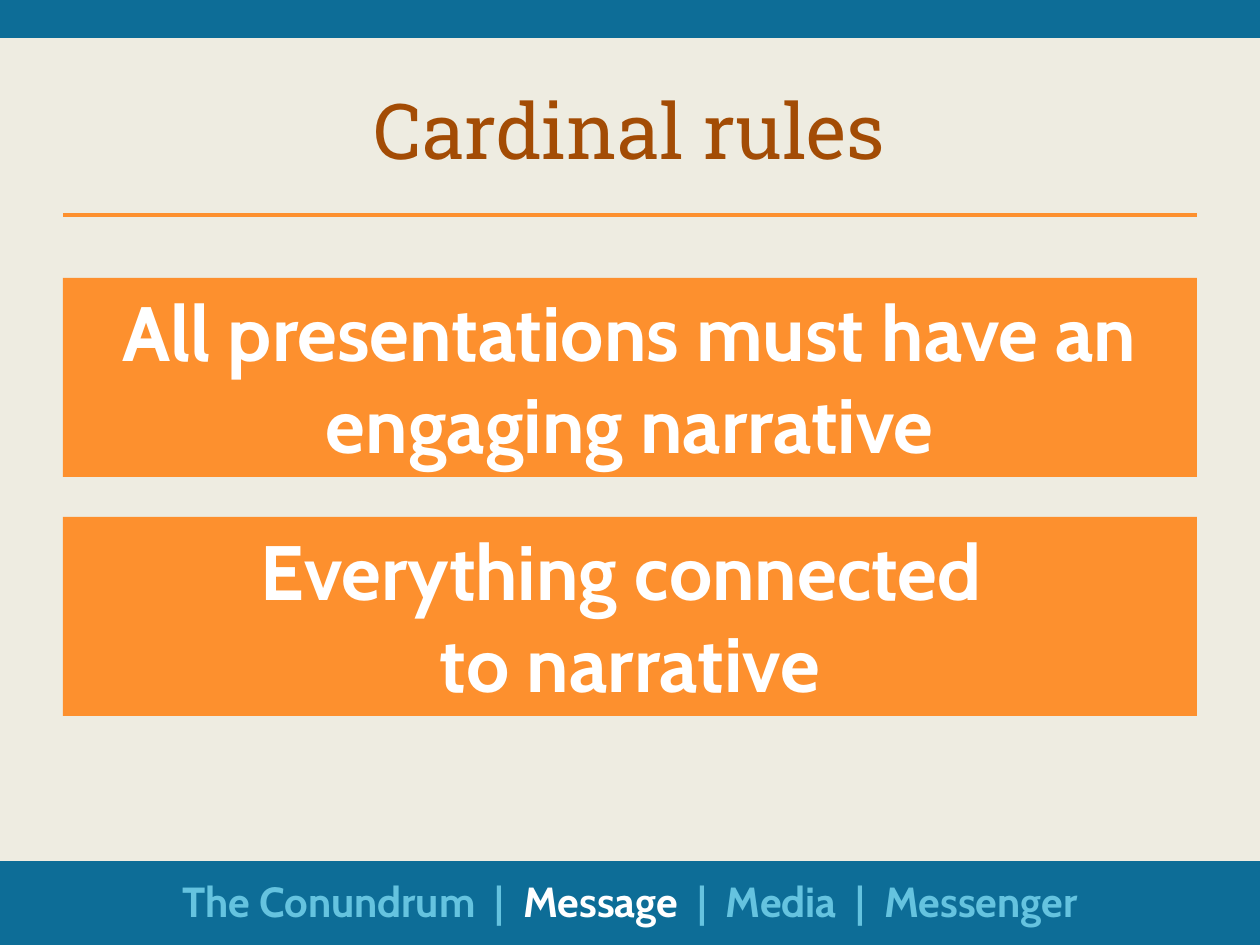
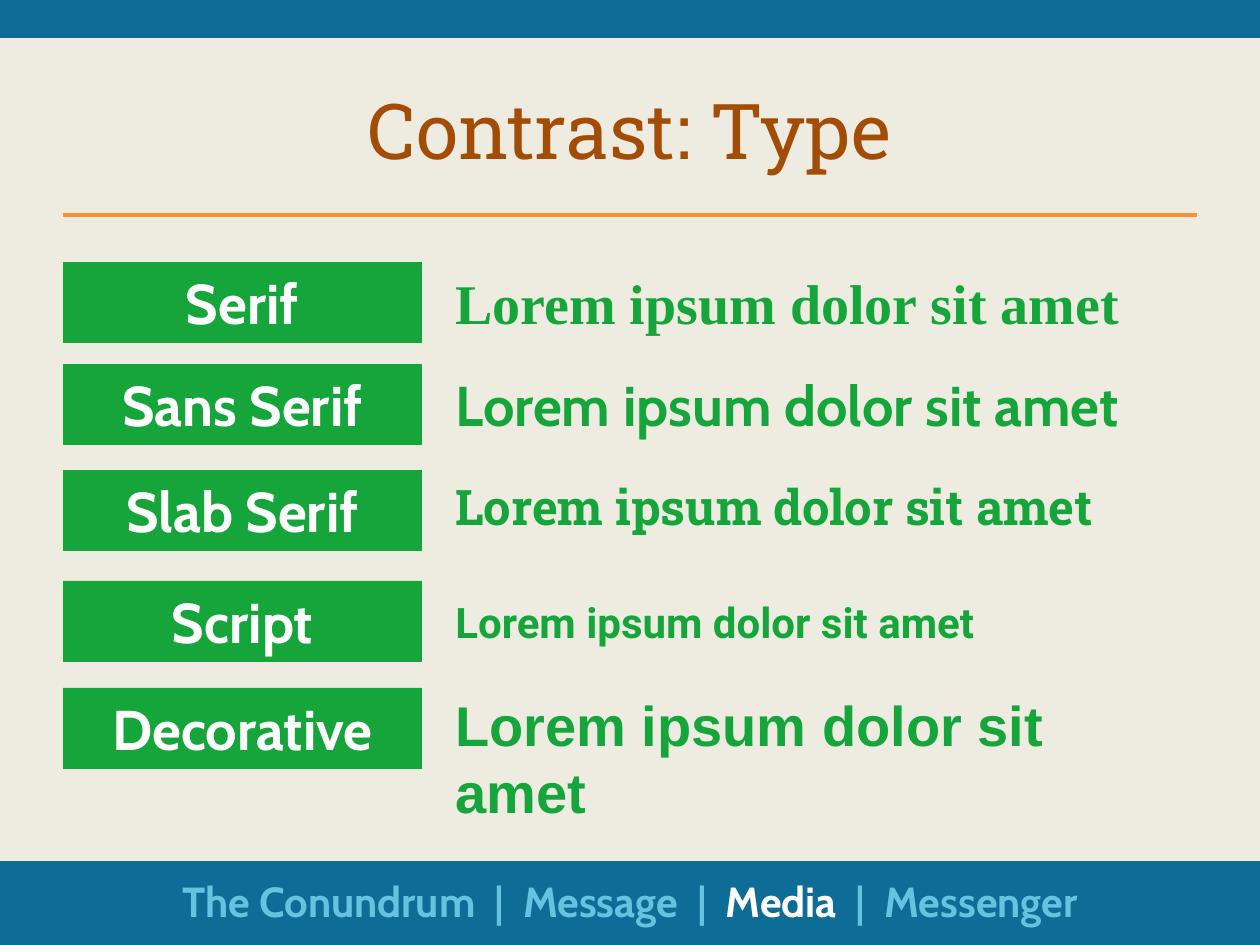
from lxml import etree
from pptx import Presentation
from pptx import util as u
from pptx.dml.color import RGBColor
from pptx.enum import shapes, text
from pptx.oxml.ns import qn

PX = u.Inches(1) / 126
WIDTH, HEIGHT = 1260, 945
MARGIN = 63
CONTENT = WIDTH - 2 * MARGIN
TITLE_ONLY = 5

COLORS = {
    "paper": "EEECE1",
    "band": "0D6D97",
    "rule": "FD902E",
    "title": "A34C05",
    "green": "15A53B",
    "dim": "65C3DF",
    "white": "FFFFFF",
}
SECTIONS = ["The Conundrum", "Message", "Media", "Messenger"]
SEPARATOR = "  |  "

RULES = [
    "All presentations must have an engaging narrative",
    "Everything connected \nto narrative",
]
# Label, label top, sample top, sample height, sample size, sample font
TYPEFACES = [
    ("Serif", 262, 262, 81, 32, "Times New Roman"),
    ("Sans Serif", 364, 364, 81, 32, "Cabin"),
    ("Slab Serif", 470, 470, 72, 28, "Roboto Slab"),
    ("Script", 581, 590, 63, 24, "Roboto"),
    ("Decorative", 688, 684, 81, 32, "Arial"),
]


def px(*lengths):
    return [u.Emu(round(length * PX)) for length in lengths]


def color(name):
    return RGBColor.from_string(COLORS[name])


def add_span(para, words, size=32, font="Cabin", ink="white", bold=True):
    """Append text to a paragraph, with line breaks at newlines."""
    for index, line in enumerate(words.split("\n")):
        if index:
            para.add_line_break()
        span = para.add_run()
        span.text = line
        span.font.size = u.Pt(size)
        span.font.name = font
        span.font.bold = bold
        span.font.color.rgb = color(ink)


def first_para(shape, centred=True):
    """Set up a growing, wrapped text frame and return its paragraph."""
    frame = shape.text_frame
    frame.word_wrap = True
    frame.auto_size = text.MSO_AUTO_SIZE.SHAPE_TO_FIT_TEXT
    frame.vertical_anchor = text.MSO_ANCHOR.TOP
    para = frame.paragraphs[0]
    para.alignment = text.PP_ALIGN.CENTER if centred else text.PP_ALIGN.LEFT
    return para


def add_block(page, left, top, width, height, fill):
    block = page.shapes.add_shape(
        shapes.MSO_SHAPE.RECTANGLE, *px(left, top, width, height))
    block.shadow.inherit = False
    block.fill.solid()
    block.fill.fore_color.rgb = color(fill)
    block.line.fill.background()
    return block


def add_label(page, words, left, top, width, height, fill, size):
    block = add_block(page, left, top, width, height, fill)
    add_span(first_para(block), words, size=size)


def add_rule(page, top):
    line = page.shapes.add_connector(
        shapes.MSO_CONNECTOR.STRAIGHT,
        *px(MARGIN, top, WIDTH - MARGIN, top))
    line.line.color.rgb = color("rule")
    line.line.width = u.Pt(2)
    etree.SubElement(line._element.spPr, qn("a:effectLst"))


def add_title(page, words):
    title = page.shapes.title
    title.left, title.top, title.width, title.height = px(
        MARGIN, 63, CONTENT, 132)
    para = first_para(title)
    title.text_frame.auto_size = text.MSO_AUTO_SIZE.NONE
    title.text_frame.vertical_anchor = text.MSO_ANCHOR.MIDDLE
    add_span(para, words, size=44, font="Roboto Slab", ink="title", bold=False)


def add_section_bar(page, current):
    """List the sections in the footer and light up the current one."""
    box = page.shapes.add_textbox(*px(MARGIN, 869, CONTENT, 63))
    para = first_para(box)
    for index, section in enumerate(SECTIONS):
        if index:
            add_span(para, SEPARATOR, size=24, ink="dim")
        ink = "white" if section == current else "dim"
        add_span(para, section, size=24, ink=ink)


def add_page(deck, title, section):
    """Add a slide with the shared bands, rule, title and section bar."""
    page = deck.slides.add_slide(deck.slide_layouts[TITLE_ONLY])
    add_block(page, 0, 861, WIDTH, HEIGHT - 861, "band")
    add_block(page, 0, 0, WIDTH, 38, "band")
    add_rule(page, 215)
    add_title(page, title)
    add_section_bar(page, section)
    return page


def build_rules(deck):
    page = add_page(deck, "Cardinal rules", "Message")
    for index, rule in enumerate(RULES):
        add_label(page, rule, MARGIN, 278 + index * 239, CONTENT, 199,
                  "rule", size=44)


def build_typefaces(deck):
    page = add_page(deck, "Contrast: Type", "Media")
    for label, label_top, top, height, size, font in TYPEFACES:
        add_label(page, label, MARGIN, label_top, 359, 81, "green", size=32)
        sample = page.shapes.add_textbox(*px(443, top, 754, height))
        add_span(first_para(sample, centred=False),
                 "Lorem ipsum dolor sit amet",
                 size=size, font=font, ink="green")


def main():
    deck = Presentation()
    deck.slide_width, deck.slide_height = px(WIDTH, HEIGHT)
    backdrop = deck.slide_master.background.fill
    backdrop.solid()
    backdrop.fore_color.rgb = color("paper")
    build_rules(deck)
    build_typefaces(deck)
    deck.save("out.pptx")


if __name__ == "__main__":
    main()
